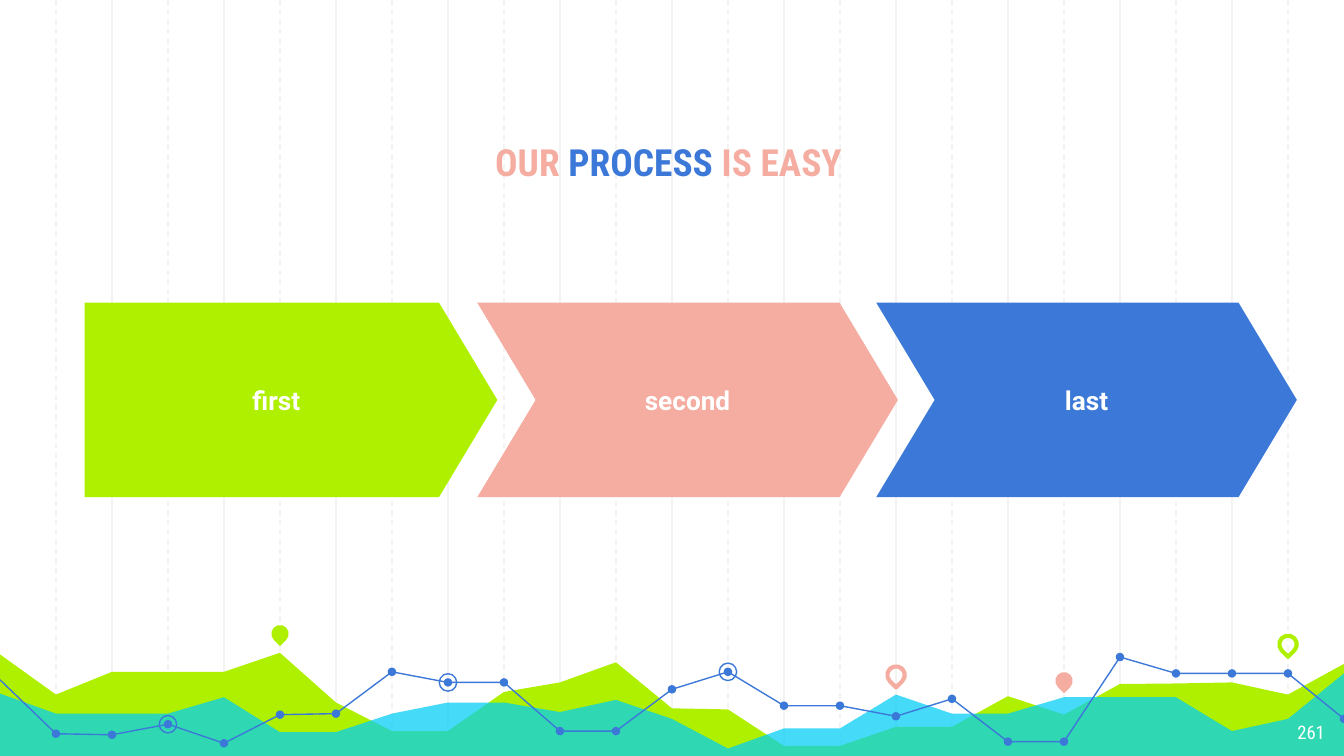
from lxml.etree import SubElement
from pptx import Presentation
from pptx.dml.color import RGBColor
from pptx.enum.dml import MSO_LINE
from pptx.enum.shapes import MSO_CONNECTOR, MSO_SHAPE as Shape
from pptx.enum.text import MSO_ANCHOR as Anchor, PP_ALIGN as Align
from pptx.oxml.ns import qn
from pptx.util import Cm, Pt

WIDTH, HEIGHT = 25.4, 14.29
COLUMNS = 24
PITCH = WIDTH / COLUMNS
LIME, CYAN, PINK, BLUE = "AFF000", "00CEF6", "F5ACA1", "3C78D8"
WHITE, GRID = "FFFFFF", "F3F3F3"

# Vertical position in cm at every grid column, from the left edge to the right
LIME_HILLS = [12.37, 13.13, 12.7, 12.7, 12.7, 12.34, 13.28, 13.82, 13.82,
              13.08, 12.9, 12.52, 13.39, 13.41, 14.1, 14.1, 13.74, 13.74,
              13.16, 13.51, 12.93, 12.92, 12.9, 13.13, 12.55]
CYAN_HILLS = [13.11, 13.49, 13.49, 13.49, 13.18, 13.84, 13.84, 13.49, 13.28,
              13.28, 13.46, 13.23, 13.59, 14.15, 13.77, 13.77, 13.13, 13.49,
              13.49, 13.18, 13.18, 13.18, 13.82, 13.59, 12.73]
TREND = [12.85, 13.87, 13.89, 13.69, 14.05, 13.51, 13.49, 12.7, 12.9,
         12.9, 13.82, 13.82, 13.03, 12.7, 13.34, 13.34, 13.54, 13.21,
         14.02, 14.02, 12.42, 12.73, 12.73, 12.73, 13.59]
TREND_BREAKS = [0, 11, 20, COLUMNS]
RINGED_COLUMNS = [3, 8, 13]

# column, vertical centre, colour, filled
PINS = [(5, 11.98, LIME, True), (16, 12.76, PINK, False),
        (19, 12.87, PINK, True), (23, 12.18, LIME, False)]

# text, preset, left, width, point depth, colour
STEPS = [("first", Shape.PENTAGON, 1.6, 7.8, 0.3, LIME),
         ("second", Shape.CHEVRON, 9.02, 7.95, 0.3, PINK),
         ("last", Shape.CHEVRON, 16.56, 7.95, 0.3, BLUE)]

STEP_FONT = {"name": "Roboto", "size": Pt(14), "bold": True}
TITLE_FONT = {"name": "Roboto Condensed", "size": Pt(20), "bold": True}
NUMBER_FONT = {"name": "Roboto Condensed", "size": Pt(10)}


def rgb(color):
    return RGBColor.from_string(color)


def paint(shape, fill=None, line=None, weight=0.75):
    shape.shadow.inherit = False
    if fill:
        shape.fill.solid()
        shape.fill.fore_color.rgb = rgb(fill)
    else:
        shape.fill.background()
    if line:
        shape.line.color.rgb = rgb(line)
        shape.line.width = Pt(weight)
    else:
        shape.line.fill.background()


def write(shape, runs, font, align, anchor):
    """Fill a shape with one paragraph made of (text, colour) runs."""
    frame = shape.text_frame
    layout = {"word_wrap": True, "vertical_anchor": anchor,
              "margin_left": Cm(0.25), "margin_right": Cm(0.25),
              "margin_top": Cm(0.25), "margin_bottom": Cm(0.25)}
    for key, value in layout.items():
        setattr(frame, key, value)
    paragraph = frame.paragraphs[0]
    paragraph.alignment = align
    for text, color in runs:
        run = paragraph.add_run()
        run.text = text
        run.font.color.rgb = rgb(color)
        for key, value in font.items():
            setattr(run.font, key, value)


def add_text(slide, box, runs, font, align, anchor):
    write(slide.shapes.add_textbox(*map(Cm, box)), runs, font, align, anchor)


def add_grid_line(slide, column):
    x = Cm(column * PITCH)
    rule = slide.shapes.add_connector(MSO_CONNECTOR.STRAIGHT, x, 0, x, Cm(HEIGHT))
    rule.line.color.rgb = rgb(GRID)
    rule.line.width = Pt(0.75)
    if column % 2:
        rule.line.dash_style = MSO_LINE.DASH
    SubElement(rule._element.spPr, qn("a:effectLst"))


def add_outline(slide, points, close):
    start, *others = [(Cm(x), Cm(y)) for x, y in points]
    builder = slide.shapes.build_freeform(*start, scale=1.0)
    builder.add_line_segments(others, close=close)
    return builder.convert_to_shape()


def column_points(heights, first=0):
    return [(column * PITCH, y) for column, y in enumerate(heights, first)]


def add_hills(slide, heights, color, opacity=100):
    floor = [(WIDTH, HEIGHT), (0, HEIGHT)]
    hills = add_outline(slide, column_points(heights) + floor, True)
    paint(hills, fill=color)
    if opacity < 100:
        tint = hills._element.spPr.find(qn("a:solidFill"))[0]
        SubElement(tint, qn("a:alpha"), val=str(opacity * 1000))


def add_marker(slide, preset, column, y, size, **colors):
    """Centre a small shape on a grid column."""
    left, top = column * PITCH - size / 2, y - size / 2
    marker = slide.shapes.add_shape(preset, Cm(left), Cm(top), Cm(size), Cm(size))
    paint(marker, **colors)
    return marker


def add_pin(slide, column, y, color, filled):
    colors = {"fill": color} if filled else {"line": color, "weight": 2.25}
    add_marker(slide, Shape.TEAR, column, y, 0.33, **colors).rotation = 135


def add_trend(slide):
    for first, last in zip(TREND_BREAKS, TREND_BREAKS[1:]):
        points = column_points(TREND[first:last + 1], first)
        paint(add_outline(slide, points, False), line=BLUE)
    for column, y in list(enumerate(TREND))[1:]:
        add_marker(slide, Shape.OVAL, column, y, 0.16, fill=BLUE)
    for column in RINGED_COLUMNS:
        add_marker(slide, Shape.OVAL, column, TREND[column], 0.33, line=BLUE)


def add_step(slide, text, preset, left, width, depth, color):
    step = slide.shapes.add_shape(preset, Cm(left), Cm(5.72), Cm(width), Cm(3.68))
    step.adjustments[0] = depth
    paint(step, fill=color)
    write(step, [(text, WHITE)], STEP_FONT, Align.CENTER, Anchor.MIDDLE)


def main():
    deck = Presentation()
    deck.slide_width, deck.slide_height = Cm(WIDTH), Cm(HEIGHT)
    slide = deck.slides.add_slide(deck.slide_layouts[6])

    for column in range(1, COLUMNS):
        add_grid_line(slide, column)
    add_hills(slide, LIME_HILLS, LIME)
    add_hills(slide, CYAN_HILLS, CYAN, 73)
    add_trend(slide)
    for pin in PINS:
        add_pin(slide, *pin)

    add_text(slide, (2.92, 1.75, 19.43, 1.98),
             [("OUR ", PINK), ("PROCESS", BLUE), (" IS EASY", PINK)],
             TITLE_FONT, Align.CENTER, Anchor.BOTTOM)
    for step in STEPS:
        add_step(slide, *step)
    add_text(slide, (23.77, 13.41, 1.52, 0.89), [("261", WHITE)],
             NUMBER_FONT, Align.RIGHT, Anchor.TOP)
    deck.save("out.pptx")


if __name__ == "__main__":
    main()
